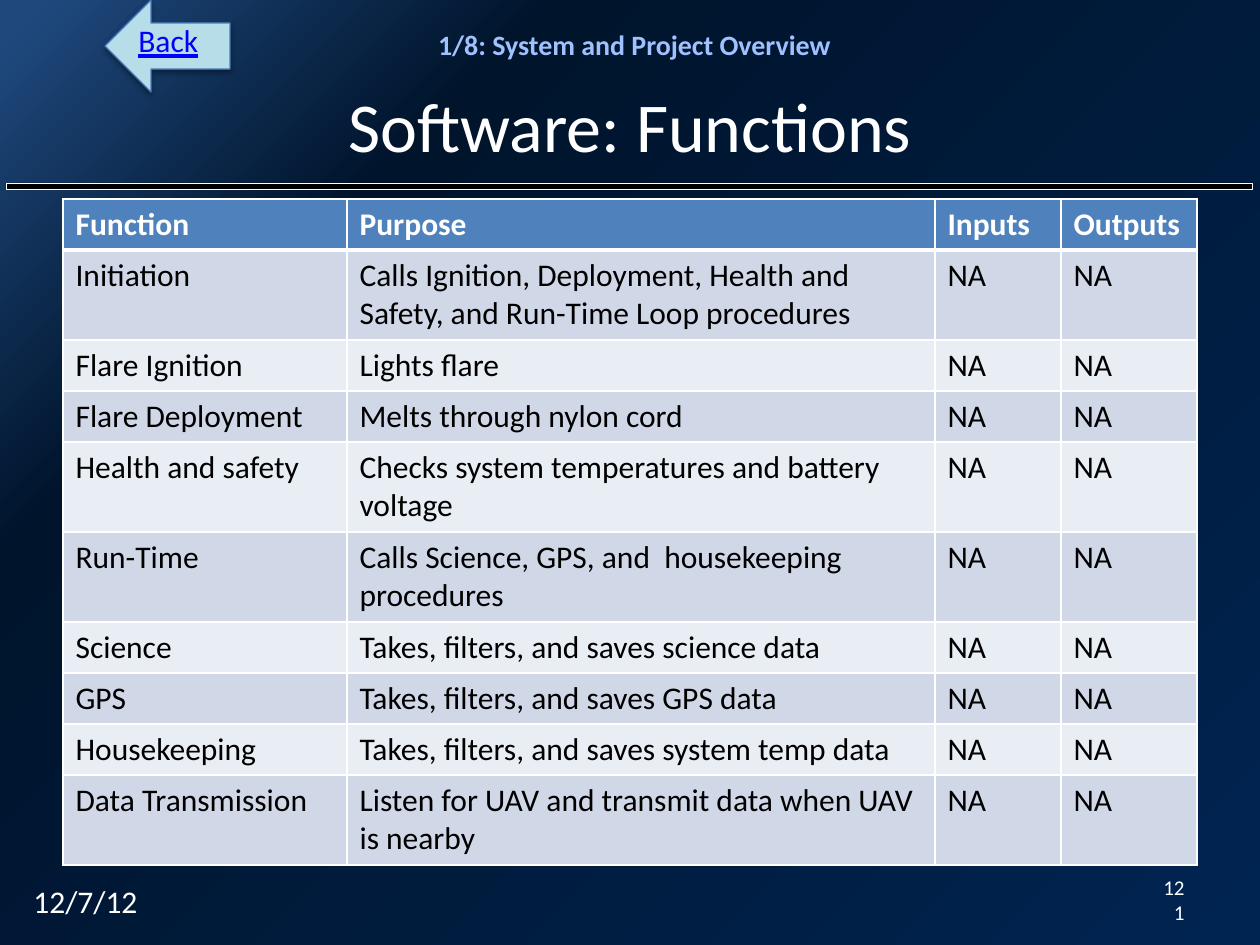
from copy import deepcopy
from lxml.etree import SubElement as Sub
from pptx import Presentation
from pptx.dml.color import RGBColor as RGB
from pptx.enum.shapes import MSO_SHAPE as SHAPE
from pptx.enum.text import MSO_ANCHOR as ANCHOR, PP_ALIGN as ALIGN
from pptx.oxml.ns import qn
from pptx.util import Emu, Pt

W, H = 1260, 945
FONT = "Calibri"
C = {
    "white": "FFFFFF", "black": "000000", "link": "0000FF",
    "arrow": "B7DEE8", "arrow_line": "4B7EBC", "outline": "467AB8",
    "header": "4F81BD", "odd": "D0D8E8", "even": "E9EDF4",
}
BACKDROP = [(2, "1F497D"), (25, "00142C"), (100, "002451")]
SHINE = [(0, "BFD3F9"), (9, "A0C1FF"), (50, "003D85"), (79, "A0C1FF"), (100, "BFD3F9")]

COLS = [284, 588, 126, 136]
LINE_H, WRAPPED_H = 51, 90
HEADER = ["Function", "Purpose", "Inputs", "Outputs"]
FUNCTIONS = [
    ("Initiation", "Calls Ignition, Deployment, Health and Safety, and Run-Time Loop procedures", WRAPPED_H),
    ("Flare Ignition", "Lights flare", LINE_H),
    ("Flare Deployment", "Melts through nylon cord", LINE_H),
    ("Health and safety", "Checks system temperatures and battery voltage", WRAPPED_H),
    ("Run-Time", "Calls Science, GPS, and  housekeeping procedures", WRAPPED_H),
    ("Science", "Takes, filters, and saves science data", LINE_H),
    ("GPS", "Takes, filters, and saves GPS data", LINE_H),
    ("Housekeeping", "Takes, filters, and saves system temp data", LINE_H),
    ("Data Transmission", "Listen for UAV and transmit data when UAV is nearby", WRAPPED_H),
]


def px(n):
    return Emu(round(n * 914400 / 126))


def box(x, y, w, h):
    return px(x), px(y), px(w), px(h)


def rgb(name):
    return RGB.from_string(C[name])


def gradient(fill, owner, stops, angle):
    fill.gradient()
    fill.gradient_angle = angle
    gs_lst = owner.find(".//" + qn("a:gsLst"))
    for gs in list(gs_lst):
        gs_lst.remove(gs)
    for pos, color in stops:
        gs = Sub(gs_lst, qn("a:gs"), pos=str(pos * 1000))
        Sub(gs, qn("a:srgbClr"), val=color)


def line_xml(parent, tag, color, width):
    ln = Sub(parent, qn(tag), w=str(Pt(width)))
    Sub(Sub(ln, qn("a:solidFill")), qn("a:srgbClr"), val=C[color])
    return ln


def write(tf, text, size=18, color="white", bold=False, underline=False,
          align=ALIGN.LEFT, anchor=None, wrap=True):
    tf.word_wrap = wrap
    if anchor is not None:
        tf.vertical_anchor = anchor
    p = tf.paragraphs[0]
    p.alignment = align
    r = p.add_run()
    r.text = text
    f = r.font
    f.name, f.size, f.bold, f.underline = FONT, Pt(size), bold, underline
    f.color.rgb = rgb(color)
    return r


def text_box(shapes, bounds, text, **fmt):
    return write(shapes.add_textbox(*box(*bounds)).text_frame, text, **fmt)


def preset(shapes, kind, bounds, fill, line, width):
    sp = shapes.add_shape(kind, *box(*bounds))
    sp.shadow.inherit = False
    sp.fill.solid()
    sp.fill.fore_color.rgb = rgb(fill)
    sp.line.color.rgb = rgb(line)
    sp.line.width = Pt(width)
    return sp


def back_button(s, x, y, w, h):
    shapes = s.shapes.add_group_shape().shapes
    sp = preset(shapes, SHAPE.LEFT_ARROW, (x, y, w, h), "arrow", "arrow_line", 0.75)
    effects = sp._element.spPr.find(qn("a:effectLst"))
    shadow = Sub(effects, qn("a:outerShdw"), blurRad=str(Pt(3.1)), dist=str(Pt(1.8)),
                 dir="5400000", rotWithShape="0")
    color = Sub(shadow, qn("a:srgbClr"), val=C["black"])
    Sub(color, qn("a:alpha"), val="35000")
    text_box(shapes, (x + 21, y + 15, 86, 50), "Back", color="link", underline=True, wrap=False)


def heading(s, x, y, w, h):
    r = text_box(s.shapes, (x + 403, y + 21, 451, 47), "1/8: System and Project Overview",
                 size=16, bold=True, align=ALIGN.CENTER)
    r_pr = r.font._element
    gradient(r.font.fill, r_pr, SHINE, 270)
    r_pr.insert(0, line_xml(r_pr, "a:ln", "outline", 0.83))
    text_box(s.shapes, (x + 104, y + 69, 1040, 111), "Software: Functions", size=40,
             align=ALIGN.CENTER, anchor=ANCHOR.MIDDLE)
    preset(s.shapes, SHAPE.RECTANGLE, (x, y + h - 6, w, 6), "black", "white", 0.25)


def format_cell(cell, fill, top, bottom):
    cell.fill.solid()
    cell.fill.fore_color.rgb = rgb(fill)
    tc_pr = cell._tc.get_or_add_tcPr()
    widths = {"L": 1, "R": 1, "T": top, "B": bottom}
    for i, (side, width) in enumerate(widths.items()):
        tc_pr.insert(i, line_xml(tc_pr, "a:ln" + side, "white", width))


def function_table(s, x, y, w):
    rows = [(HEADER, LINE_H)] + [((name, purpose, "NA", "NA"), h) for name, purpose, h in FUNCTIONS]
    total = sum(h for _, h in rows)
    table = s.shapes.add_table(len(rows), len(COLS), *box(x, y, w, total)).table
    for col, width in zip(table.columns, COLS):
        col.width = px(width)
    for i, (texts, h) in enumerate(rows):
        table.rows[i].height = px(h)
        head = i == 0
        fill = "header" if head else "odd" if i % 2 else "even"
        for cell, text in zip(table.rows[i].cells, texts):
            write(cell.text_frame, text, color="white" if head else "black", bold=head)
            format_cell(cell, fill, 3 if i == 1 else 1, 3 if head else 1)


def footer(s, x, y, w):
    text_box(s.shapes, (x, y, 294, 50), "12/7/12")
    text_box(s.shapes, (x + w - 53, y, 53, 48), "121", size=12, align=ALIGN.RIGHT,
             anchor=ANCHOR.MIDDLE)


def main():
    prs = Presentation()
    prs.slide_width, prs.slide_height = px(W), px(H)
    s = prs.slides.add_slide(prs.slide_layouts[6])
    gradient(s.background.fill, s._element, BACKDROP, 315)
    heading(s, 6, 0, 1246, 189)
    function_table(s, 63, 199, sum(COLS))
    footer(s, 21, 876, 1176)
    back_button(s, 105, 0, 125, 92)
    prs.save("out.pptx")


if __name__ == "__main__":
    main()
